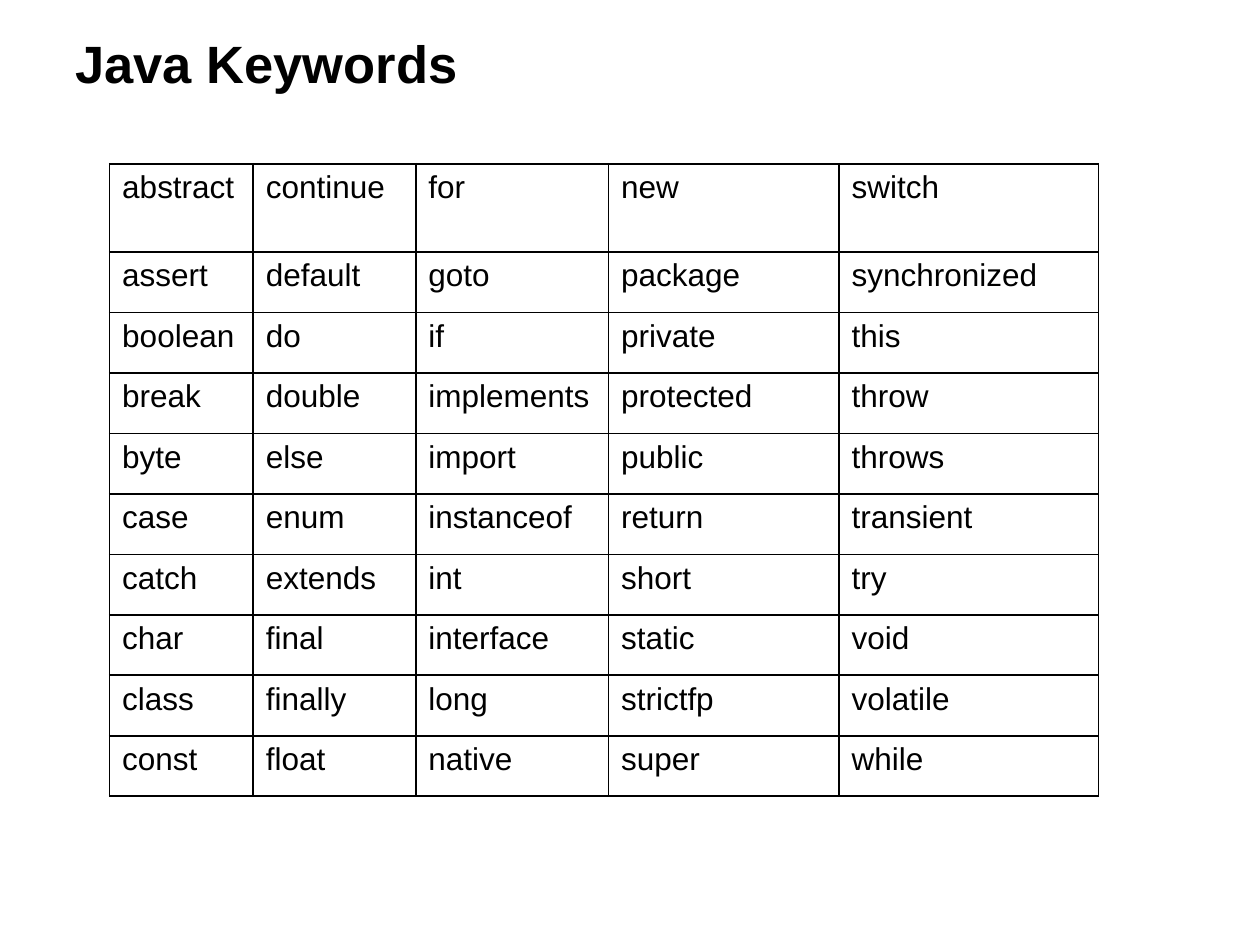
from dataclasses import dataclass

from lxml import etree
from pptx import Presentation
from pptx import util as u
from pptx.dml.color import RGBColor
from pptx.enum import text
from pptx.oxml import ns


@dataclass(frozen=True)
class Theme:
    font: str = "Arial"
    ink: str = "000000"
    paper: str = "FFFFFF"
    title_size: int = 30
    cell_size: int = 18
    border: float = 1.08


class KeywordSlide:
    def __init__(self, deck, theme):
        self.theme = theme
        self.slide = deck.slides.add_slide(deck.slide_layouts[6])

    def style(self, paragraph, size, bold=False):
        font = paragraph.font
        font.name = self.theme.font
        font.size = u.Pt(size)
        font.bold = bold
        font.color.rgb = RGBColor.from_string(self.theme.ink)

    def title(self, wording, left, top, width, height):
        frame = self.slide.shapes.add_textbox(
            *map(u.Inches, (left, top, width, height))).text_frame
        frame.word_wrap = True
        frame.vertical_anchor = text.MSO_ANCHOR.TOP
        frame.margin_top = u.Inches(0.09)
        heading = frame.paragraphs[0]
        heading.text = wording
        self.style(heading, self.theme.title_size, bold=True)

    def outline(self, cell):
        properties = cell._tc.get_or_add_tcPr()
        for side in ("lnL", "lnR", "lnT", "lnB"):
            line = etree.SubElement(properties, ns.qn(f"a:{side}"),
                                    w=str(u.Pt(self.theme.border)))
            fill = etree.SubElement(line, ns.qn("a:solidFill"))
            etree.SubElement(fill, ns.qn("a:srgbClr"), val=self.theme.ink)

    def table(self, rows, left, top, widths, heights):
        grid = self.slide.shapes.add_table(
            len(rows), len(widths),
            *map(u.Inches, (left, top, sum(widths), sum(heights)))).table
        grid.first_row = grid.horz_banding = False
        for column, width in zip(grid.columns, widths):
            column.width = u.Inches(width)
        for row, height, words in zip(grid.rows, heights, rows):
            row.height = u.Inches(height)
            for cell, word in zip(row.cells, words):
                cell.text = word
                self.style(cell.text_frame.paragraphs[0], self.theme.cell_size)
                self.outline(cell)
                cell.fill.solid()
                cell.fill.fore_color.rgb = RGBColor.from_string(self.theme.paper)
        grid.cell(0, 0).fill.background()


KEYWORDS = [line.split() for line in """\
abstract continue for new switch
assert default goto package synchronized
boolean do if private this
break double implements protected throw
byte else import public throws
case enum instanceof return transient
catch extends int short try
char final interface static void
class finally long strictfp volatile
const float native super while""".splitlines()]


def main():
    deck = Presentation()
    deck.slide_width, deck.slide_height = u.Inches(10), u.Inches(7.5)
    page = KeywordSlide(deck, Theme())
    page.title("Java Keywords", 0.5, 0.16, 9, 0.61)
    page.table(KEYWORDS, 0.87, 1.3,
               widths=[1.14, 1.29, 1.53, 1.83, 2.06],
               heights=[0.7] + [0.48] * (len(KEYWORDS) - 1))
    deck.save("out.pptx")


if __name__ == "__main__":
    main()
